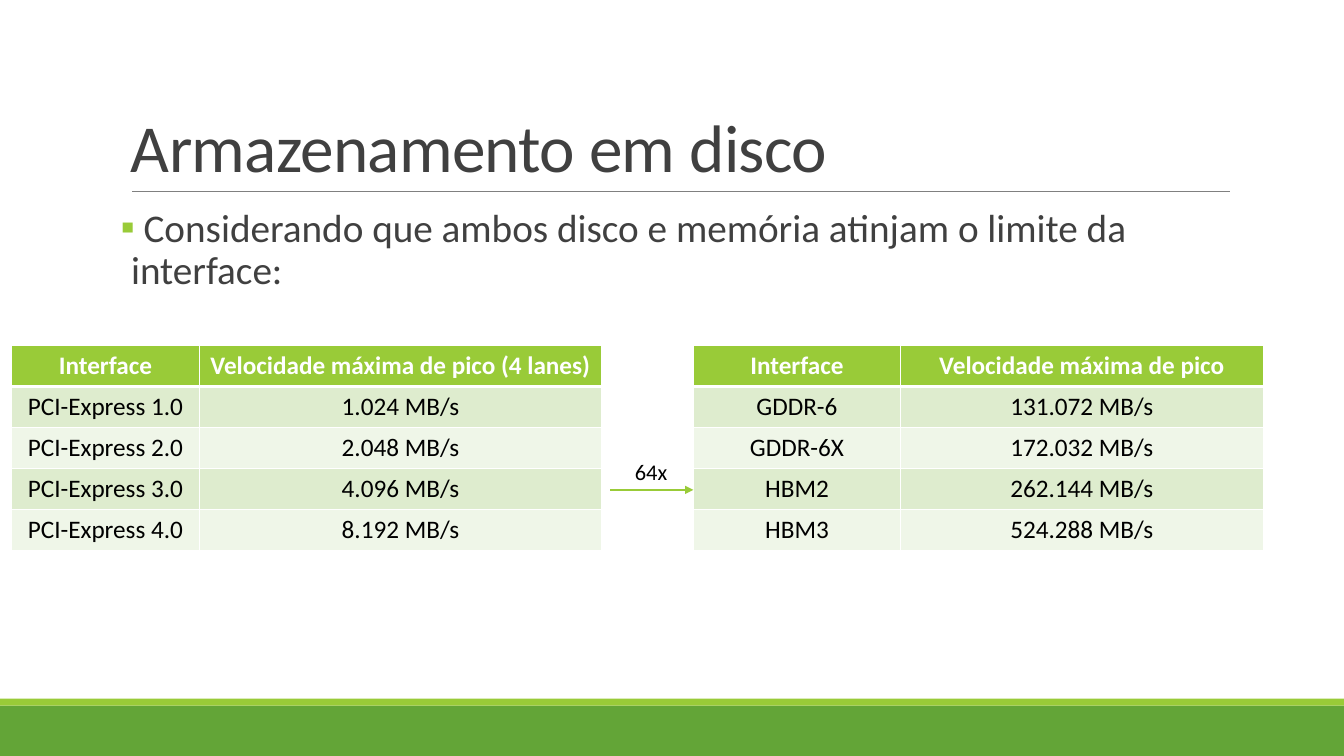
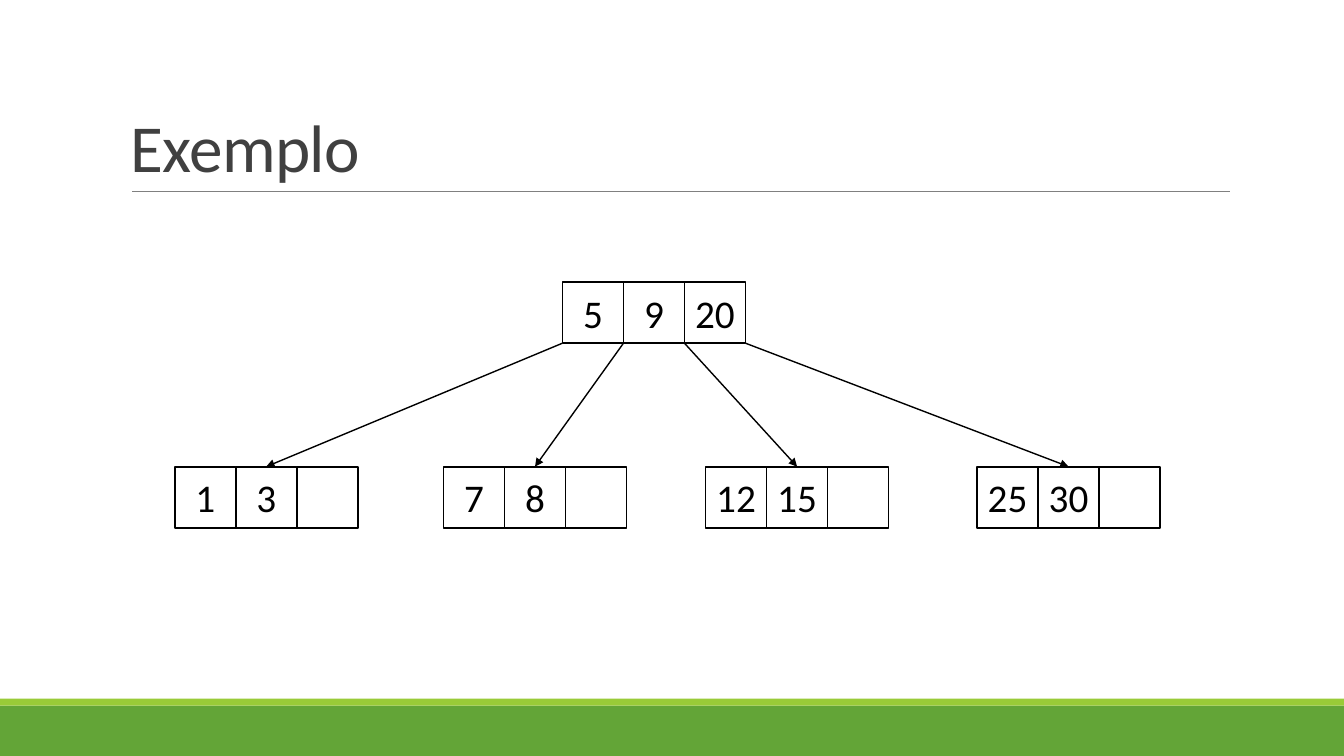
from dataclasses import dataclass

from lxml import etree
from pptx import Presentation, util as u
from pptx.dml.color import RGBColor
from pptx.enum import shapes, text
from pptx.oxml import ns


@dataclass(frozen=True)
class Theme:
    font: str = "Calibri"
    white: str = "FFFFFF"
    black: str = "000000"
    ink: str = "404040"
    rule: str = "808080"
    green: str = "63A537"
    lime: str = "99CB38"
    stripes: tuple = ("DEECCE", "EFF6E8")
    title_size: int = 48
    body_size: int = 28
    table_size: int = 18
    label_size: int = 16


THEME = Theme()
WIDTH, HEIGHT = u.Inches(13.333), u.Inches(7.5)
TABLE_TOP, TABLE_ROW = 45.73, 5.41
KEY_WIDTH, KEY_HEIGHT = 4.54, 8.07
ROOT_TOP, LEAF_TOP = 37.33, 61.73


def across(share):
    return round(WIDTH * share / 100)


def down(share):
    return round(HEIGHT * share / 100)


def area(left, top, width, height):
    return across(left), down(top), across(width), down(height)


def child(parent, tag, **attributes):
    return etree.SubElement(parent, ns.qn(tag), attributes)


def add_run(paragraph, content, size, color, bold=False):
    run = paragraph.add_run()
    run.text = content
    run.font.name = THEME.font
    run.font.size = u.Pt(size)
    run.font.bold = bold
    run.font.color.rgb = RGBColor.from_string(color)
    return run


def add_rectangle(slide, box, fill, line=None):
    shape = slide.shapes.add_shape(shapes.MSO_SHAPE.RECTANGLE, *area(*box))
    shape.shadow.inherit = False
    shape.fill.solid()
    shape.fill.fore_color.rgb = RGBColor.from_string(fill)
    if line:
        shape.line.color.rgb = RGBColor.from_string(line)
        shape.line.width = u.Pt(1.25)
    else:
        shape.line.fill.background()
    return shape


def add_line(slide, start, end, color, width, arrow=False):
    connector = slide.shapes.add_connector(
        shapes.MSO_CONNECTOR.STRAIGHT,
        across(start[0]), down(start[1]), across(end[0]), down(end[1]))
    connector.line.color.rgb = RGBColor.from_string(color)
    connector.line.width = u.Pt(width)
    properties = connector._element.spPr
    if arrow:
        child(properties.find(ns.qn("a:ln")), "a:tailEnd", type="triangle")
    child(properties, "a:effectLst")


def add_text_box(slide, box, wrap=True):
    frame = slide.shapes.add_textbox(*area(*box)).text_frame
    frame.word_wrap = wrap
    return frame


def add_titled_slide(presentation, title):
    slide = presentation.slides.add_slide(presentation.slide_layouts[6])
    add_rectangle(slide, (0, 93.33, 100, 6.67), THEME.green)
    add_rectangle(slide, (0, 92.4, 100, 0.93), THEME.lime)
    add_line(slide, (9.83, 25.33), (91.55, 25.33), THEME.rule, 0.5)
    frame = add_text_box(slide, (9, 4.13, 82.5, 21.2))
    frame.vertical_anchor = text.MSO_ANCHOR.BOTTOM
    paragraph = frame.paragraphs[0]
    paragraph.line_spacing = 0.85
    run = add_run(paragraph, title, THEME.title_size, THEME.ink)
    run.font._element.set("spc", "-50")
    return slide


def add_bullet(slide, box, content):
    frame = add_text_box(slide, box)
    frame.margin_left = frame.margin_right = 0
    paragraph = frame.paragraphs[0]
    paragraph.line_spacing = 0.9
    properties = paragraph._p.get_or_add_pPr()
    indent = u.Inches(0.1)
    properties.set("marL", str(indent))
    properties.set("indent", str(-indent))
    child(child(properties, "a:buClr"), "a:srgbClr", val=THEME.lime)
    child(properties, "a:buFont", typeface=THEME.font)
    child(properties, "a:buChar", char="▪")
    add_run(paragraph, content, THEME.body_size, THEME.ink)


def set_borders(cell, top, bottom):
    properties = cell._tc.get_or_add_tcPr()
    widths = {"a:lnL": 1, "a:lnR": 1, "a:lnT": top, "a:lnB": bottom}
    for tag, width in widths.items():
        line = child(properties, tag, w=str(u.Pt(width)))
        child(child(line, "a:solidFill"), "a:srgbClr", val=THEME.white)


def fill_cell(cell, content, row):
    header = row == 0
    set_borders(cell, 3 if row == 1 else 1, 3 if header else 1)
    cell.fill.solid()
    fill = THEME.lime if header else THEME.stripes[(row - 1) % 2]
    cell.fill.fore_color.rgb = RGBColor.from_string(fill)
    paragraph = cell.text_frame.paragraphs[0]
    paragraph.alignment = text.PP_ALIGN.CENTER
    color = THEME.white if header else THEME.black
    add_run(paragraph, content, THEME.table_size, color, header)


def add_speed_table(slide, left, widths, rows):
    box = area(left, TABLE_TOP, sum(widths), TABLE_ROW * len(rows))
    table = slide.shapes.add_table(len(rows), len(widths), *box).table
    for column, width in zip(table.columns, widths):
        column.width = across(width)
    for row, values in enumerate(rows):
        table.rows[row].height = down(TABLE_ROW)
        for column, value in enumerate(values):
            fill_cell(table.cell(row, column), value, row)


def add_node(slide, left, top, keys):
    for index, key in enumerate(keys):
        box = (left + index * KEY_WIDTH, top, KEY_WIDTH, KEY_HEIGHT)
        shape = add_rectangle(slide, box, THEME.white, THEME.black)
        if key:
            frame = shape.text_frame
            frame.margin_left = frame.margin_right = 0
            frame.vertical_anchor = text.MSO_ANCHOR.MIDDLE
            paragraph = frame.paragraphs[0]
            paragraph.alignment = text.PP_ALIGN.CENTER
            add_run(paragraph, key, THEME.body_size, THEME.black)


def build_storage_slide(presentation):
    slide = add_titled_slide(presentation, "Armazenamento em disco")
    add_bullet(slide, (9, 26.93, 79.5, 58.67),
               " Considerando que ambos disco e memória atinjam o limite da interface:")
    add_speed_table(slide, 0.85, (14, 29.9), [
        ("Interface", "Velocidade máxima de pico (4 lanes)"),
        ("PCI-Express 1.0", "1.024 MB/s"),
        ("PCI-Express 2.0", "2.048 MB/s"),
        ("PCI-Express 3.0", "4.096 MB/s"),
        ("PCI-Express 4.0", "8.192 MB/s"),
    ])
    add_speed_table(slide, 51.6, (15.4, 27), [
        ("Interface", "Velocidade máxima de pico"),
        ("GDDR-6", "131.072 MB/s"),
        ("GDDR-6X", "172.032 MB/s"),
        ("HBM2", "262.144 MB/s"),
        ("HBM3", "524.288 MB/s"),
    ])
    add_line(slide, (45.4, 64.8), (51.6, 64.8), THEME.lime, 1, arrow=True)
    label = add_text_box(slide, (46.5, 60, 4, 4.93), wrap=False)
    add_run(label.paragraphs[0], "64x", THEME.label_size, THEME.black)


def build_tree_slide(presentation):
    slide = add_titled_slide(presentation, "Exemplo")
    root_left = 41.85
    leaves = [
        (13, ("1", "3", "")),
        (33, ("7", "8", "")),
        (52.5, ("12", "15", "")),
        (72.7, ("25", "30", "")),
    ]
    add_node(slide, root_left, ROOT_TOP, ("5", "9", "20"))
    for index, (left, keys) in enumerate(leaves):
        add_node(slide, left, LEAF_TOP, keys)
        start = (root_left + index * KEY_WIDTH, ROOT_TOP + KEY_HEIGHT)
        end = (left + 1.5 * KEY_WIDTH, LEAF_TOP)
        add_line(slide, start, end, THEME.black, 1, arrow=True)


def main():
    presentation = Presentation()
    presentation.slide_width, presentation.slide_height = WIDTH, HEIGHT
    build_storage_slide(presentation)
    build_tree_slide(presentation)
    presentation.save("out.pptx")


if __name__ == "__main__":
    main()
